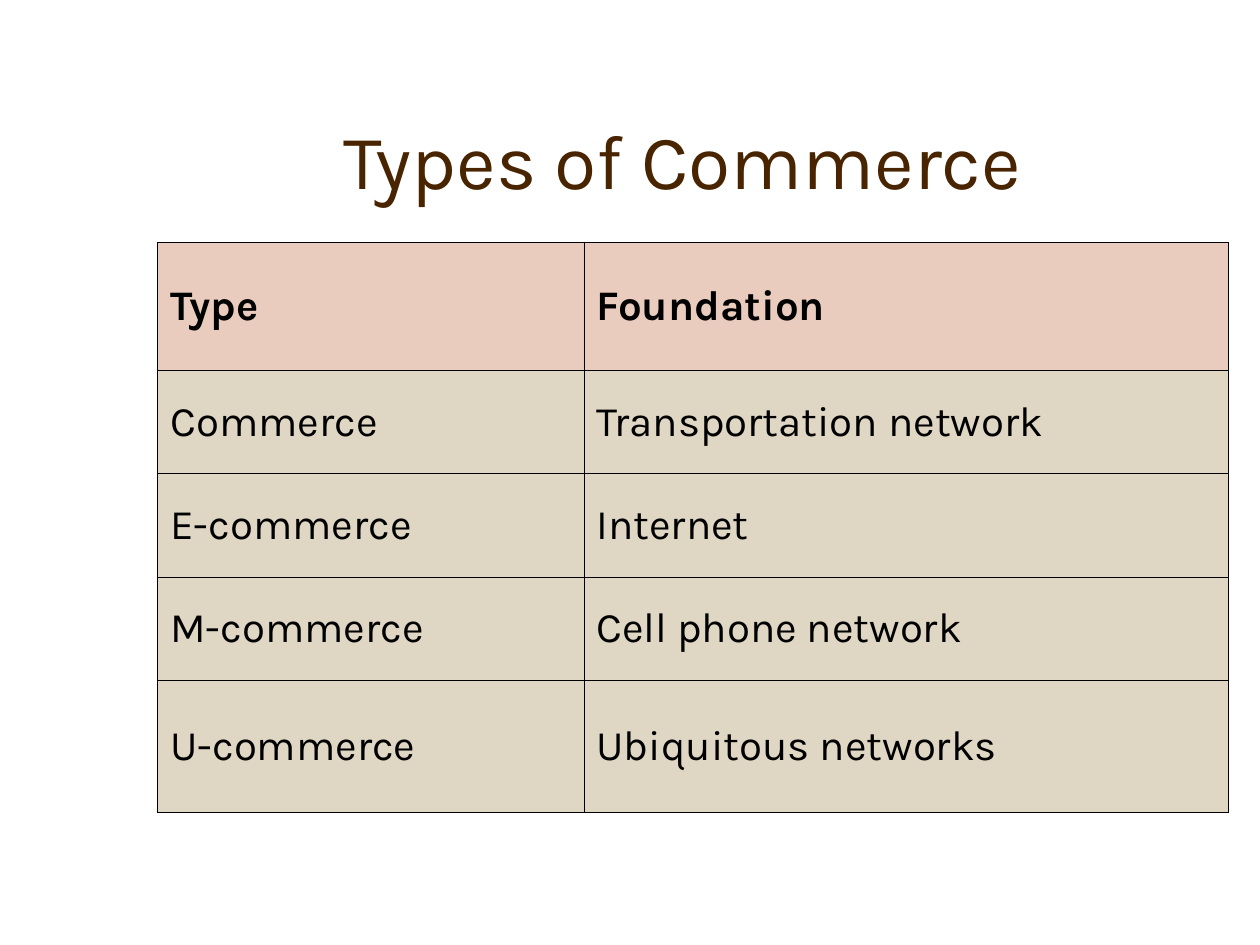
from dataclasses import dataclass
from typing import NamedTuple

from lxml.etree import SubElement
from pptx import Presentation
from pptx.dml.color import RGBColor
from pptx.enum.text import MSO_ANCHOR, PP_ALIGN
from pptx.oxml.ns import qn
from pptx.util import Cm, Pt


@dataclass(frozen=True)
class Theme:
    font: str = "Karla"
    title_size: float = 44
    body_size: float = 24
    title_color: str = "482400"
    ink: str = "000000"
    header_fill: str = "D69B80"
    header_opacity: int = 51
    body_fill: str = "DFD6C3"
    border_width: float = 0.45


class CommerceRow(NamedTuple):
    kind: str
    foundation: str
    height: float


THEME = Theme()
COLUMN_WIDTHS = (8.59, 13.0)
ROWS = (
    CommerceRow("Type", "Foundation", 2.59),
    CommerceRow("Commerce", "Transportation network", 2.08),
    CommerceRow("E-commerce", "Internet", 2.08),
    CommerceRow("M-commerce", "Cell phone network", 2.08),
    CommerceRow("U-commerce", "Ubiquitous networks", 2.67),
)


def write(frame, text: str, *, size: float, color: str, bold: bool = False,
          align: PP_ALIGN = PP_ALIGN.LEFT, space_before: float = 0) -> None:
    paragraph = frame.paragraphs[0]
    paragraph.alignment = align
    paragraph.space_before = Pt(space_before)
    run = paragraph.add_run()
    run.text = text
    run.font.name = THEME.font
    run.font.size = Pt(size)
    run.font.bold = bold
    run.font.color.rgb = RGBColor.from_string(color)


def fill_cell(cell, color: str, opacity: int = 100) -> None:
    cell.fill.solid()
    cell.fill.fore_color.rgb = RGBColor.from_string(color)
    if opacity < 100:
        tint = cell.fill._xPr.find(f"{qn('a:solidFill')}/{qn('a:srgbClr')}")
        SubElement(tint, qn("a:alpha"), val=str(opacity * 1000))


def outline_cell(cell) -> None:
    """Draw all four borders; they must come before the fill in the cell's XML."""
    properties = cell._tc.get_or_add_tcPr()
    for position, side in enumerate(("a:lnL", "a:lnR", "a:lnT", "a:lnB")):
        border = SubElement(properties, qn(side), w=str(Pt(THEME.border_width)))
        SubElement(SubElement(border, qn("a:solidFill")), qn("a:srgbClr"), val=THEME.ink)
        properties.insert(position, border)


def add_title(slide, text: str) -> None:
    title = slide.shapes.add_textbox(Cm(2.97), Cm(1.07), Cm(21.59), Cm(3.18))
    title.text_frame.word_wrap = True
    title.text_frame.vertical_anchor = MSO_ANCHOR.BOTTOM
    write(title.text_frame, text, size=THEME.title_size, color=THEME.title_color,
          align=PP_ALIGN.CENTER)


def add_commerce_table(slide, rows: tuple[CommerceRow, ...]) -> None:
    table = slide.shapes.add_table(
        len(rows), len(COLUMN_WIDTHS), Cm(3.18), Cm(4.88),
        Cm(sum(COLUMN_WIDTHS)), Cm(sum(row.height for row in rows)),
    ).table
    table.horz_banding = False
    for column, width in zip(table.columns, COLUMN_WIDTHS):
        column.width = Cm(width)
    for row_index, row in enumerate(rows):
        table.rows[row_index].height = Cm(row.height)
        is_header = row_index == 0
        for column_index, text in enumerate((row.kind, row.foundation)):
            cell = table.cell(row_index, column_index)
            cell.vertical_anchor = MSO_ANCHOR.MIDDLE
            if is_header:
                fill_cell(cell, THEME.header_fill, THEME.header_opacity)
            else:
                fill_cell(cell, THEME.body_fill)
            outline_cell(cell)
            write(cell.text_frame, text, size=THEME.body_size, color=THEME.ink,
                  bold=is_header, space_before=6)


def main() -> None:
    deck = Presentation()
    deck.slide_width, deck.slide_height = Cm(25.4), Cm(19.05)
    slide = deck.slides.add_slide(deck.slide_layouts[6])
    add_title(slide, "Types of Commerce")
    add_commerce_table(slide, ROWS)
    deck.save("out.pptx")


if __name__ == "__main__":
    main()
